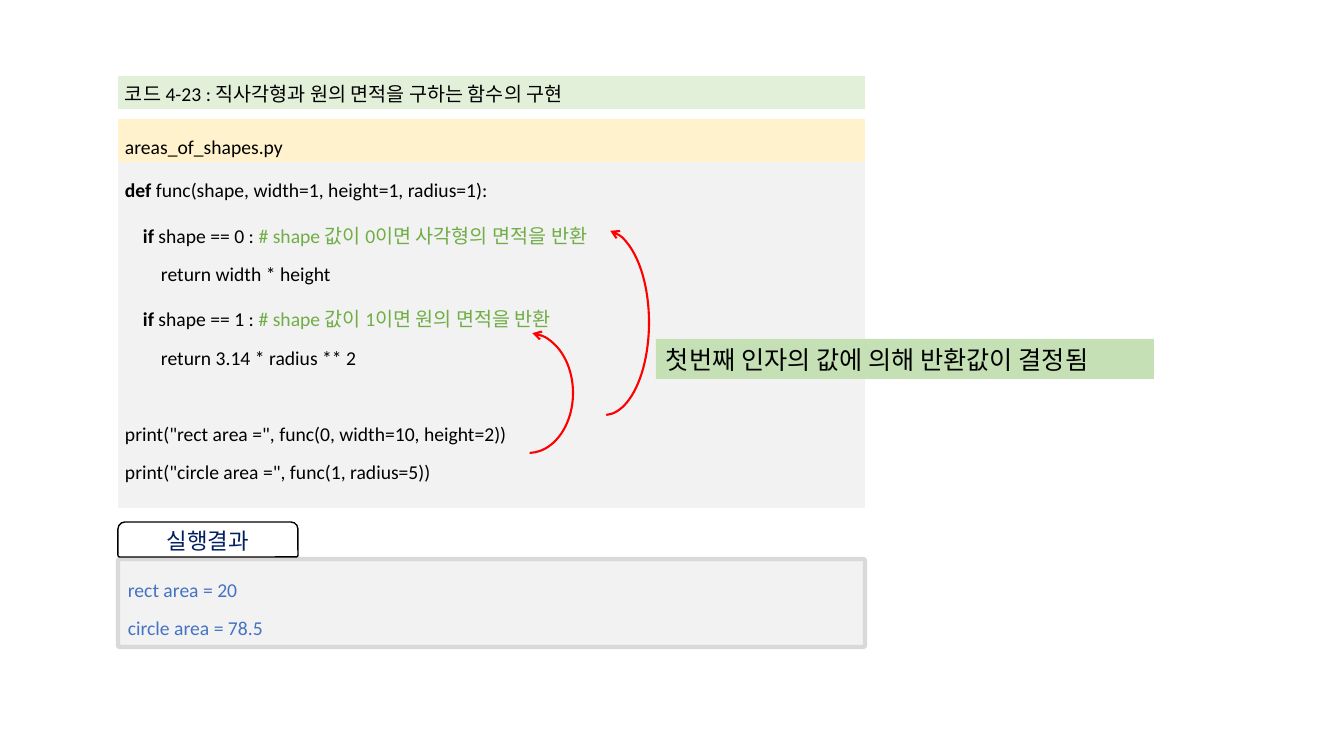
import pptx
import pptx.util
import pptx.dml.color
import pptx.enum.shapes
import pptx.enum.text
import pptx.oxml.ns
import lxml.etree
import dataclasses


@dataclasses.dataclass(frozen=True)
class Theme:
    latin: str = "Calibri"
    korean: str = "Noto Sans CJK KR"
    code_size: int = 14
    label_size: int = 16
    note_size: int = 18
    spacing: float = 1.6
    black: str = "000000"
    white: str = "FFFFFF"
    navy: str = "002060"
    blue: str = "4472C4"
    green: str = "70AD47"
    red: str = "FF0000"
    title_fill: str = "E2F0D9"
    file_fill: str = "FFF2CC"
    code_fill: str = "F2F2F2"
    note_fill: str = "C5E0B4"
    frame: str = "D9D9D9"


theme = Theme()
PX = 12192000 / 1344
qn = pptx.oxml.ns.qn
rgb = pptx.dml.color.RGBColor.from_string
MSO = pptx.enum.shapes.MSO_SHAPE
ALIGN = pptx.enum.text.PP_ALIGN
MIDDLE = pptx.enum.text.MSO_ANCHOR.MIDDLE


def add_run(p, text, size=theme.code_size, color=theme.black, bold=False, font=theme.latin):
    r = p.add_run()
    r.text = text
    r.font.size = pptx.util.Pt(size)
    r.font.bold = bold
    r.font.color.rgb = rgb(color)
    r.font.name = font
    latin = r.font._element.find(qn("a:latin"))
    ea = lxml.etree.Element(qn("a:ea"), typeface=theme.korean)
    latin.addnext(ea)


def add_shape(kind, box, adjust=(), fill=None, line=None, width=1):
    sp = s.shapes.add_shape(kind, *[round(v * PX) for v in box])
    sp.shadow.inherit = False
    for i, value in enumerate(adjust):
        sp.adjustments[i] = value
    if fill:
        sp.fill.solid()
        sp.fill.fore_color.rgb = rgb(fill)
    else:
        sp.fill.background()
    if line:
        sp.line.color.rgb = rgb(line)
        sp.line.width = pptx.util.Pt(width)
    else:
        sp.line.fill.background()
    return sp


prs = pptx.Presentation()
prs.slide_width, prs.slide_height = round(1344 * PX), round(756 * PX)
s = prs.slides.add_slide(prs.slide_layouts[6])

# Result panel and its tab
add_shape(MSO.ROUNDED_RECTANGLE, (118, 559, 747, 88), (0.02,), theme.code_fill, theme.frame, 3)
tab = add_shape(MSO.ROUND_2_SAME_RECTANGLE, (118, 522, 180, 35), (0.2, 0.05), theme.white, theme.black)
tf = tab.text_frame
tf.vertical_anchor = MIDDLE
tf.margin_top = tf.margin_bottom = 0
tf.paragraphs[0].alignment = ALIGN.CENTER
add_run(tf.paragraphs[0], "실행결과", size=theme.label_size, color=theme.navy, font=theme.korean)

# Result text
tf = s.shapes.add_textbox(*[round(v * PX) for v in (118, 559, 681, 88)]).text_frame
tf.word_wrap = True
for i, text in enumerate(("rect area = 20", "circle area = 78.5")):
    p = tf.add_paragraph() if i else tf.paragraphs[0]
    p.alignment = ALIGN.JUSTIFY
    p.line_spacing = theme.spacing
    add_run(p, text, color=theme.blue)

# Code table: title, gap, file name, code, bottom strip
row_heights = (33, 10, 43, 326, 20)
row_fills = (theme.title_fill, None, theme.file_fill, theme.code_fill, theme.code_fill)
frame = s.shapes.add_table(5, 1, *[round(v * PX) for v in (118, 76, 747, sum(row_heights))])
table = frame.table
table.first_row = table.horz_banding = False
style = table._tbl.tblPr.find(qn("a:tableStyleId"))
style.text = "{2D5ABB26-0587-4C30-8999-92F81FD0307C}"
for row, height, fill in zip(table.rows, row_heights, row_fills):
    row.height = round(height * PX)
    cell = row.cells[0]
    cell.vertical_anchor = MIDDLE
    cell.margin_left = cell.margin_right = round(7 * PX)
    cell.margin_top = cell.margin_bottom = round(2 * PX)
    if fill:
        cell.fill.solid()
        cell.fill.fore_color.rgb = rgb(fill)
    else:
        cell.fill.background()

# Small type keeps the empty rows low
for i in (1, 4):
    p = table.cell(i, 0).text_frame.paragraphs[0]
    lxml.etree.SubElement(p._p, qn("a:endParaRPr"), sz="100")

add_run(table.cell(0, 0).text_frame.paragraphs[0], "코드 4-23 : 직사각형과 원의 면적을 구하는 함수의 구현")
p = table.cell(2, 0).text_frame.paragraphs[0]
p.line_spacing = theme.spacing
add_run(p, "areas_of_shapes.py")

# Code lines: indent level, points before, keyword, code, comment
code_lines = (
    (0, 0, "def", " func(shape, width=1, height=1, radius=1):", ""),
    (1, 0, "if", " shape == 0 : ", "# shape 값이 0이면 사각형의 면적을 반환"),
    (2, 0, "", "return width * height", ""),
    (1, 0, "if", " shape == 1 : ", "# shape 값이 1이면 원의 면적을 반환"),
    (2, 0, "", "return 3.14 * radius ** 2", ""),
    (0, 27, "", 'print("rect area =", func(0, width=10, height=2))', ""),
    (0, 0, "", 'print("circle area =", func(1, radius=5))', ""),
)
tf = table.cell(3, 0).text_frame
for i, (level, before, keyword, code, comment) in enumerate(code_lines):
    p = tf.add_paragraph() if i else tf.paragraphs[0]
    p.alignment = ALIGN.JUSTIFY
    p.line_spacing = theme.spacing
    p.space_before = pptx.util.Pt(before)
    p._p.get_or_add_pPr().set("marL", str(round(18 * level * PX)))
    if keyword:
        add_run(p, keyword, bold=True)
    add_run(p, code)
    if comment:
        add_run(p, comment, color=theme.green)

# Arrows from the calls back to the branches
for box in ((560, 230, 89, 185), (484, 333, 89, 120)):
    arc = add_shape(MSO.ARC, box, (164.18, 53.35), line=theme.red, width=1.5)
    lxml.etree.SubElement(arc.line._get_or_add_ln(), qn("a:headEnd"), type="arrow")

# Note
note = add_shape(MSO.RECTANGLE, (656, 339, 498, 40), fill=theme.note_fill)
tf = note.text_frame
tf.word_wrap = False
tf.vertical_anchor = MIDDLE
p = tf.paragraphs[0]
p.alignment = ALIGN.LEFT
add_run(p, "첫번째 인자의 값에 의해 반환값이 결정됨", size=theme.note_size, font=theme.korean)

prs.save("out.pptx")
